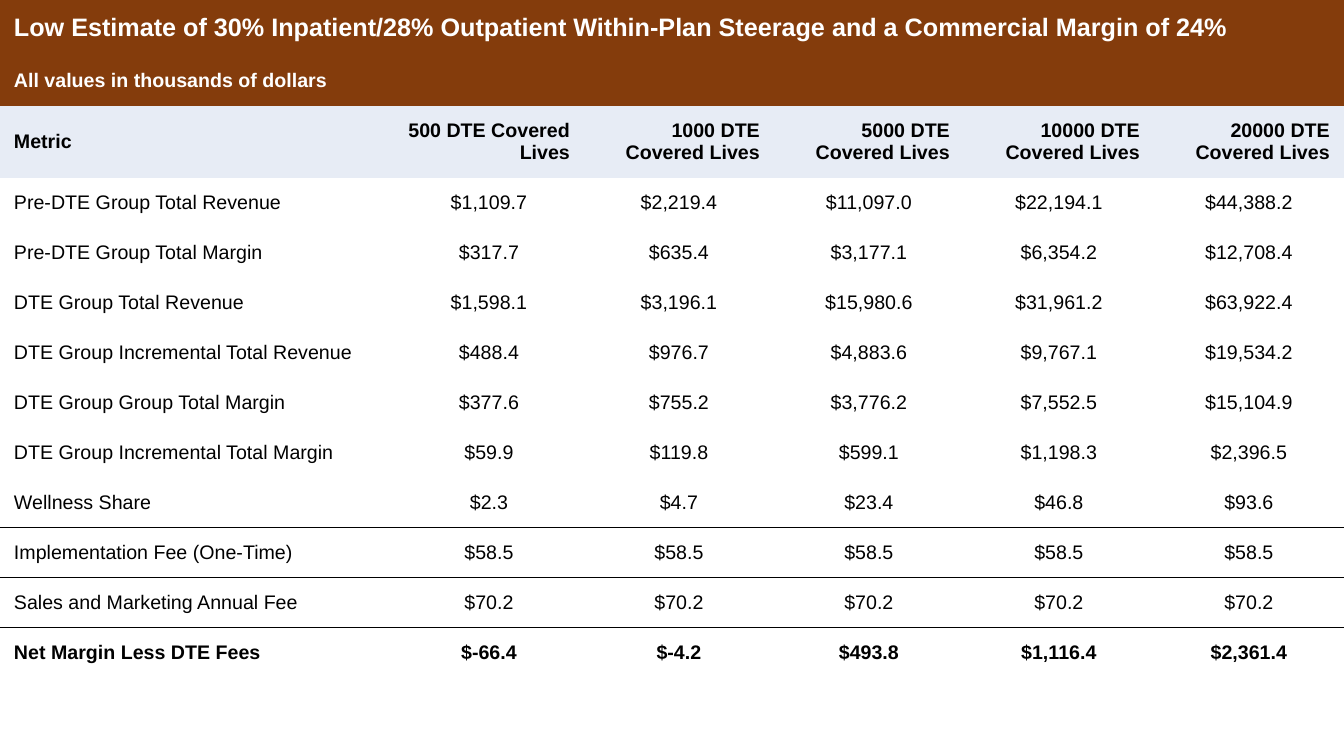
from dataclasses import dataclass

from lxml.etree import SubElement
from pptx import Presentation
from pptx.dml.color import RGBColor
from pptx.enum.text import MSO_ANCHOR as Anchor, PP_ALIGN as Align
from pptx.oxml.ns import qn
from pptx.table import Table, _Cell as Cell
from pptx.util import Emu, Pt

SLIDE_WIDTH, SLIDE_HEIGHT = 1344, 756
METRIC_WIDTH, VALUE_WIDTH = 394, 190
PADDING = 14
EMU_PER_PX = 12192000 / SLIDE_WIDTH
PLAIN_TABLE_STYLE = "{2D5ABB26-0587-4C30-8999-92F81FD0307C}"
BROWN, PALE_BLUE, WHITE, BLACK = "843C0C", "E7ECF5", "FFFFFF", "000000"


@dataclass(frozen=True)
class TableRow:
    texts: tuple[str, ...]
    height: int = 50
    size: int = 14
    bold: bool = False
    color: str = BLACK
    fill: str | None = None
    value_align: Align = Align.CENTER
    borders: tuple[str, ...] = ()


def px(length: int) -> Emu:
    return Emu(round(length * EMU_PER_PX))


def rgb(color: str) -> RGBColor:
    return RGBColor.from_string(color)


def set_attributes(target: object, values: dict[str, object]) -> None:
    for name, value in values.items():
        setattr(target, name, value)


def add_border(cell: Cell, side: str) -> None:
    properties = cell._tc.get_or_add_tcPr()
    line = SubElement(properties, qn(f"a:ln{side}"), w=str(Pt(1)))
    solid = SubElement(line, qn("a:solidFill"))
    SubElement(solid, qn("a:srgbClr"), val=BLACK)


def fill_cell(cell: Cell, text: str, row: TableRow, align: Align) -> None:
    set_attributes(cell, {
        "vertical_anchor": Anchor.MIDDLE,
        "margin_left": px(PADDING),
        "margin_right": px(PADDING),
        "margin_top": 0,
        "margin_bottom": 0,
    })
    for side in row.borders:
        add_border(cell, side)
    if row.fill:
        cell.fill.solid()
        cell.fill.fore_color.rgb = rgb(row.fill)
    else:
        cell.fill.background()
    paragraph = cell.text_frame.paragraphs[0]
    paragraph.text = text
    paragraph.alignment = align
    font = paragraph.runs[0].font
    set_attributes(font, {"name": "Arial", "size": Pt(row.size), "bold": row.bold})
    font.color.rgb = rgb(row.color)


def draw_row(table: Table, index: int, row: TableRow) -> None:
    table.rows[index].height = px(row.height)
    if len(row.texts) == 1:
        table.cell(index, 0).merge(table.cell(index, len(table.columns) - 1))
    for column, text in enumerate(row.texts):
        align = row.value_align if column else Align.LEFT
        fill_cell(table.cell(index, column), text, row, align)


MEMBER_COUNTS = (500, 1000, 5000, 10000, 20000)
ROWS = (
    TableRow(("Low Estimate of 30% Inpatient/28% Outpatient Within-Plan Steerage "
              "and a Commercial Margin of 24%",),
             height=56, size=18, bold=True, color=WHITE, fill=BROWN),
    TableRow(("All values in thousands of dollars",), bold=True, color=WHITE, fill=BROWN),
    TableRow(("Metric", *(f"{count} DTE Covered Lives" for count in MEMBER_COUNTS)),
             height=72, bold=True, fill=PALE_BLUE, value_align=Align.RIGHT),
    TableRow(("Pre-DTE Group Total Revenue",
              "$1,109.7", "$2,219.4", "$11,097.0", "$22,194.1", "$44,388.2")),
    TableRow(("Pre-DTE Group Total Margin",
              "$317.7", "$635.4", "$3,177.1", "$6,354.2", "$12,708.4")),
    TableRow(("DTE Group Total Revenue",
              "$1,598.1", "$3,196.1", "$15,980.6", "$31,961.2", "$63,922.4")),
    TableRow(("DTE Group Incremental Total Revenue",
              "$488.4", "$976.7", "$4,883.6", "$9,767.1", "$19,534.2")),
    TableRow(("DTE Group Group Total Margin",
              "$377.6", "$755.2", "$3,776.2", "$7,552.5", "$15,104.9")),
    TableRow(("DTE Group Incremental Total Margin",
              "$59.9", "$119.8", "$599.1", "$1,198.3", "$2,396.5")),
    TableRow(("Wellness Share", "$2.3", "$4.7", "$23.4", "$46.8", "$93.6"),
             borders=("B",)),
    TableRow(("Implementation Fee (One-Time)", *["$58.5"] * len(MEMBER_COUNTS)),
             borders=("T",)),
    TableRow(("Sales and Marketing Annual Fee", *["$70.2"] * len(MEMBER_COUNTS)),
             borders=("B",)),
    TableRow(("Net Margin Less DTE Fees",
              "$-66.4", "$-4.2", "$493.8", "$1,116.4", "$2,361.4"),
             bold=True, borders=("T",)),
)


def main() -> None:
    presentation = Presentation()
    set_attributes(presentation, {
        "slide_width": px(SLIDE_WIDTH),
        "slide_height": px(SLIDE_HEIGHT),
    })
    slide = presentation.slides.add_slide(presentation.slide_layouts[6])
    widths = [METRIC_WIDTH] + [VALUE_WIDTH] * len(MEMBER_COUNTS)
    height = sum(row.height for row in ROWS)
    frame = slide.shapes.add_table(
        len(ROWS), len(widths), 0, 0, px(sum(widths)), px(height))
    table = frame.table
    set_attributes(table, {"first_row": False, "horz_banding": False})
    table._tbl.tblPr.find(qn("a:tableStyleId")).text = PLAIN_TABLE_STYLE
    for column, width in zip(table.columns, widths):
        column.width = px(width)
    for index, row in enumerate(ROWS):
        draw_row(table, index, row)
    presentation.save("out.pptx")


if __name__ == "__main__":
    main()
